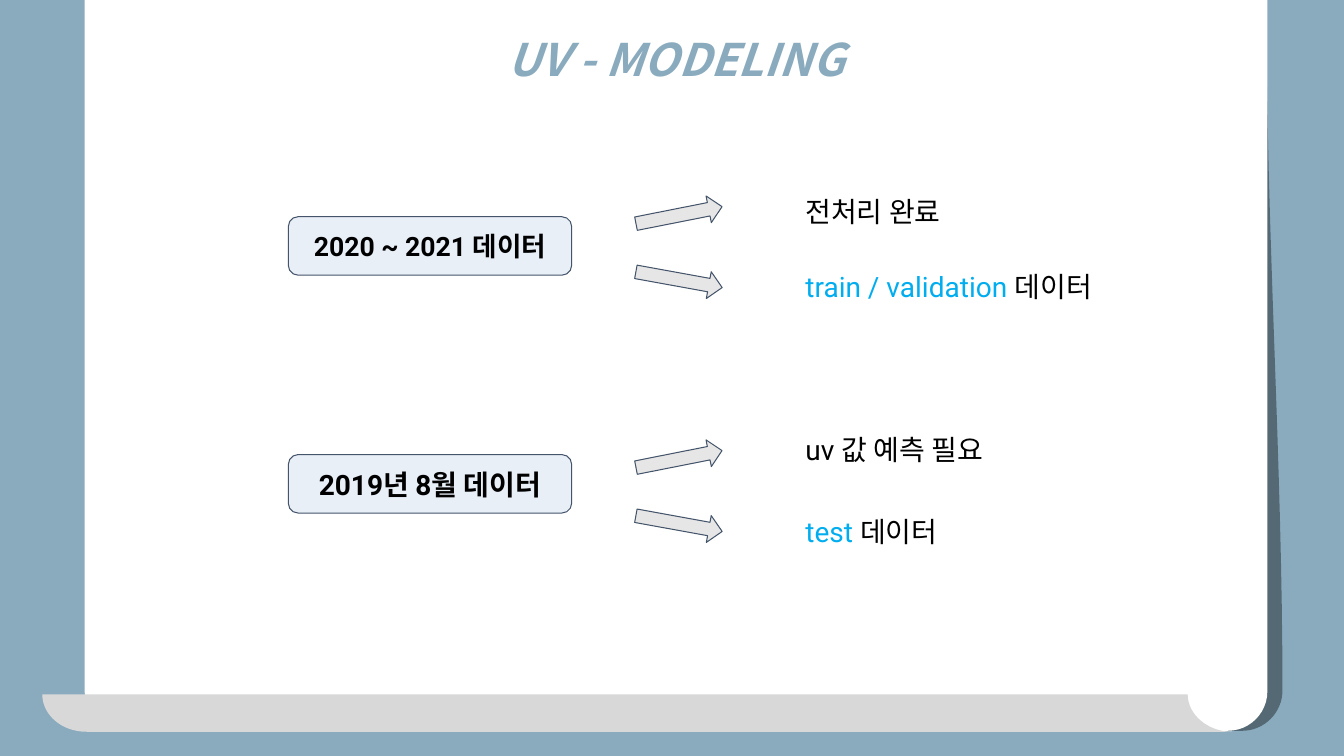
"""Build the UV modeling slide: two data sets, each with arrows to its two roles."""
from lxml import etree
from pptx import Presentation
from pptx.dml.color import RGBColor
from pptx.enum.shapes import MSO_SHAPE
from pptx.enum.text import MSO_ANCHOR, PP_ALIGN
from pptx.oxml.ns import qn
from pptx.util import Inches, Pt

CENTER, LEFT = PP_ALIGN.CENTER, PP_ALIGN.LEFT
MIDDLE, TOP = MSO_ANCHOR.MIDDLE, MSO_ANCHOR.TOP
ROUND_RECT, ARROW = MSO_SHAPE.ROUNDED_RECTANGLE, MSO_SHAPE.RIGHT_ARROW
PAPER = MSO_SHAPE.ROUND_2_SAME_RECTANGLE

COLORS = {"blue": "8AABBE", "black": "000000", "white": "FFFFFF", "roll": "D8D8D8",
          "accent": "00ADEF", "box": "E9EFF7", "arrow": "E7E6E6", "line": "44546A"}
TITLE_FONT, BODY_FONT = "Noto Sans CJK KR", "Roboto"

TITLE = "UV - MODELING"
GROUPS = [
    {"label": "2020 ~ 2021 데이터", "size": 19, "box_top": 2.15, "arrow_top": 2.0,
     "notes": [(1.83, [("전처리 완료", "black")], 2.57),
               (2.57, [("train / validation", "accent"), (" 데이터", "black")], 3.24)]},
    {"label": "2019년 8월 데이터", "size": 20, "box_top": 4.51, "arrow_top": 4.42,
     "notes": [(4.19, [("uv 값 예측 필요", "black")], 2.06),
               (5.0, [("test", "accent"), (" 데이터", "black")], 2.06)]},
]
ARROW_GAP, ARROW_ANGLES = 0.64, (348.8, 10.3)

SHADOW = [(2.02, 0), (12.47, 0.03), (12.56, 0.03),
          (12.56, 2.32, 12.72, 4.57, 12.72, 6.85),
          (12.72, 7.07, 12.54, 7.25, 12.32, 7.25), (2.41, 7.25),
          (2.19, 7.25, 2.02, 7.07, 2.02, 6.85)]
ROLL = [(0.42, 6.89), (11.78, 6.89), (11.78, 7.09, 11.98, 7.26, 12.22, 7.26),
        (0.86, 7.26), (0.61, 7.26, 0.42, 7.09, 0.42, 6.89)]
CURVE_STEPS = 16


def rgb(name):
    return RGBColor.from_string(COLORS[name])


def paint(sp, fill, line=None):
    sp.shadow.inherit = False
    sp.fill.solid()
    sp.fill.fore_color.rgb = rgb(fill)
    if line:
        sp.line.color.rgb = rgb(line)
        sp.line.width = Pt(0.75)
    else:
        sp.line.fill.background()


def flatten(outline):
    points = [outline[0]]
    for step in outline[1:]:
        if len(step) == 2:
            points.append(step)
            continue
        x0, y0 = points[-1]
        x1, y1, x2, y2, x3, y3 = step
        for i in range(1, CURVE_STEPS + 1):
            t = i / CURVE_STEPS
            a, b, c, d = (1 - t) ** 3, 3 * t * (1 - t) ** 2, 3 * t * t * (1 - t), t ** 3
            points.append((a * x0 + b * x1 + c * x2 + d * x3,
                           a * y0 + b * y1 + c * y2 + d * y3))
    return [(Inches(x), Inches(y)) for x, y in points]


def add_outline(s, outline, fill):
    start, *rest = flatten(outline)
    builder = s.shapes.build_freeform(*start)
    builder.add_line_segments(rest, close=True)
    sp = builder.convert_to_shape()
    paint(sp, fill)
    return sp


def add_preset(s, kind, box, adjustments, fill, line=None):
    sp = s.shapes.add_shape(kind, *map(Inches, box))
    for i, value in enumerate(adjustments):
        sp.adjustments[i] = value
    paint(sp, fill, line)
    return sp


def write(sp, runs, size, font=BODY_FONT, align=LEFT, anchor=TOP, bold=False,
          italic=False, inset=0.1):
    tf = sp.text_frame
    tf.word_wrap = True
    tf.vertical_anchor = anchor
    tf.margin_left = tf.margin_right = Inches(0.1)
    tf.margin_top = tf.margin_bottom = Inches(inset)
    p = tf.paragraphs[0]
    p.alignment = align
    p.font.name, p.font.size = font, Pt(size)
    p.font.bold, p.font.italic = bold, italic
    for text, color in runs:
        r = p.add_run()
        r.text = text
        r.font.color.rgb = rgb(color)
    return p


def add_text(s, box, runs, size, **style):
    return write(s.shapes.add_textbox(*map(Inches, box)), runs, size, **style)


def main():
    prs = Presentation()
    prs.slide_width, prs.slide_height = Inches(13.33), Inches(7.5)
    s = prs.slides.add_slide(prs.slide_layouts[6])
    s.background.fill.solid()
    s.background.fill.fore_color.rgb = rgb("blue")

    shadow = add_outline(s, SHADOW, "black")
    color = shadow.fill._xPr.find(qn("a:solidFill"))[0]
    etree.SubElement(color, qn("a:alpha"), val="38000")
    add_preset(s, PAPER, (0.84, 0, 11.73, 7.25), (0, 0.054), "white")
    add_outline(s, ROLL, "roll")

    title = add_text(s, (3.37, 0, 6.67, 0.8), [(TITLE, "blue")], 32, font=TITLE_FONT,
                     align=CENTER, bold=True, italic=True, inset=0.05)
    title.line_spacing = 1.5

    for group in GROUPS:
        for top, runs, width in group["notes"]:
            add_text(s, (7.89, top, width, 0.54), runs, 20)
        label = add_preset(s, ROUND_RECT, (2.86, group["box_top"], 2.81, 0.58),
                           (0.167,), "box", "line")
        write(label, [(group["label"], "black")], group["size"], align=CENTER,
              anchor=MIDDLE, bold=True)
        for i, angle in enumerate(ARROW_ANGLES):
            top = group["arrow_top"] + i * ARROW_GAP
            arrow = add_preset(s, ARROW, (6.3, top, 0.87, 0.27), (0.5, 0.5),
                               "arrow", "line")
            arrow.rotation = angle

    prs.save("out.pptx")


if __name__ == "__main__":
    main()
